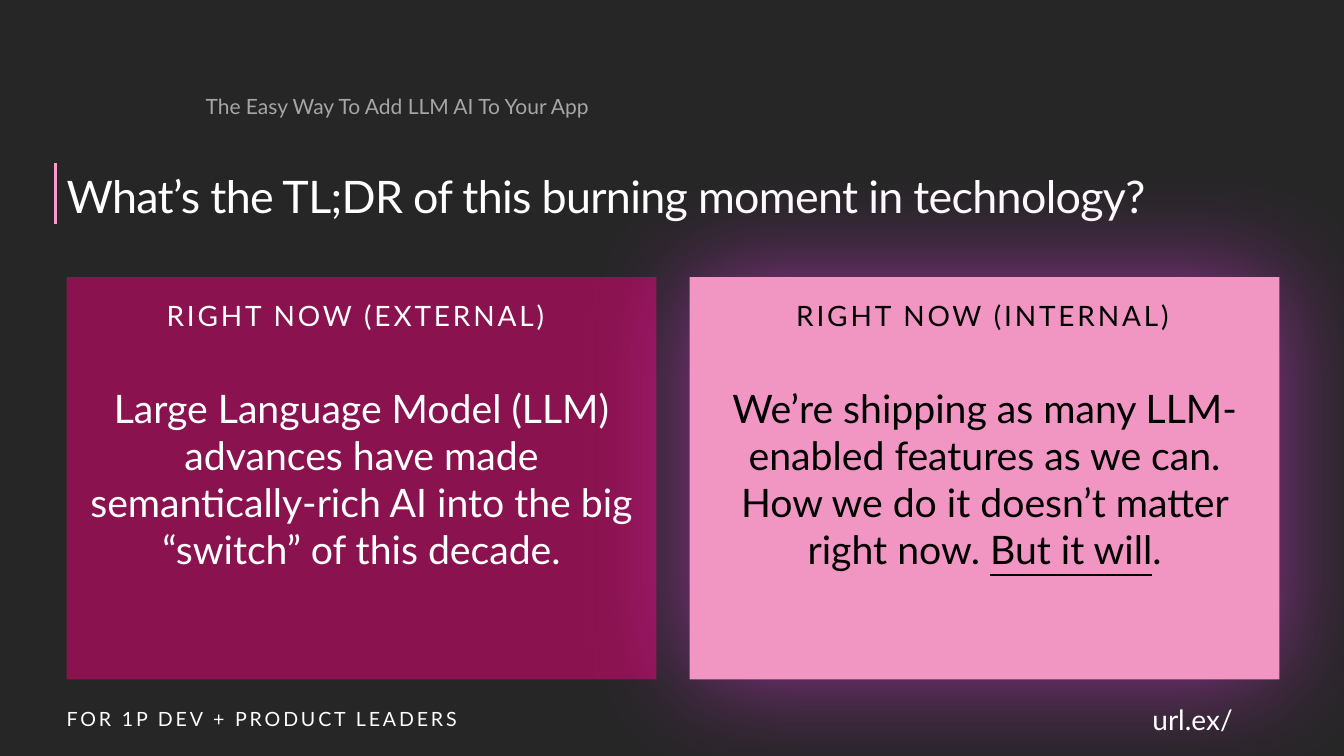
"""Build a slide with a title and two contrasting cards about the present moment."""
from lxml import etree
from pptx import Presentation, util as u
from pptx.dml.color import RGBColor
from pptx.enum import shapes, text
from pptx.oxml.ns import qn

COLORS = {
    "background": "262626", "white": "FFFFFF", "black": "000000", "gray": "A6A6A6",
    "accent": "FF99CC", "plum": "8A134F", "pink": "F195C3", "glow": "FF40FF",
}
MARGIN, CARD_TOP = 0.66, 2.75
CARD_WIDTH, CARD_HEIGHT, GUTTER = 5.85, 3.99, 0.33
LABEL_INSETS = (0, 0.05, 0.1, 0.05)


def color(name):
    return RGBColor.from_string(COLORS[name])


def write(box, spans, size, tint, insets=(0, 0, 0, 0), centered=False, spacing=0):
    frame = box.text_frame
    frame.word_wrap = True
    frame.auto_size = text.MSO_AUTO_SIZE.NONE
    frame.margin_left, frame.margin_top, frame.margin_right, frame.margin_bottom = map(u.Inches, insets)
    frame.vertical_anchor = text.MSO_ANCHOR.MIDDLE if centered else text.MSO_ANCHOR.TOP
    para = frame.paragraphs[0]
    para.alignment = text.PP_ALIGN.CENTER if centered else text.PP_ALIGN.LEFT
    if centered:
        para.space_after = u.Pt(8)
    para.font.name, para.font.size = "Lato", u.Pt(size)
    para.font.color.rgb = color(tint)
    for words, underlined in spans:
        span = para.add_run()
        span.text = words
        if underlined:
            span.font.underline = True
        if spacing:
            span.font._element.set("spc", str(int(spacing * 100)))


deck = Presentation()
deck.slide_width, deck.slide_height = u.Inches(13.33), u.Inches(7.5)
page = deck.slides.add_slide(deck.slide_layouts[5])
page.background.fill.solid()
page.background.fill.fore_color.rgb = color("background")

title = page.shapes.title
title.left, title.top, title.width, title.height = map(u.Inches, (MARGIN, 1.62, 12.05, 0.61))
write(title, [("What’s the TL;DR of this burning moment in technology?", False)],
      32, "white", LABEL_INSETS, spacing=-0.5)

rule = page.shapes.add_connector(
    shapes.MSO_CONNECTOR.STRAIGHT, *map(u.Inches, (0.55, 1.62, 0.55, 2.22)))
rule.line.color.rgb = color("accent")
rule.line.width = u.Pt(2.25)
etree.SubElement(rule._element.spPr, qn("a:effectLst"))

captions = [
    ((11.43, 6.97, 1.05, 0.34), "url.ex/", 20, "white", (0, 0, 0, 0), 0),
    ((2.04, 0.88, 7.1, 0.35), "The Easy Way To Add LLM AI To Your App", 15, "gray", LABEL_INSETS, 0),
    ((MARGIN, 7.01, CARD_WIDTH, 0.24), "FOR 1P DEV + PRODUCT LEADERS", 14, "white", (0, 0, 0, 0), 2),
]
cards = [
    ("RIGHT NOW (EXTERNAL)", 0.79, "plum", "white", False,
     [("Large Language Model (LLM) advances have made semantically-rich AI into the big "
       "“switch” of this decade.", False)]),
    ("RIGHT NOW (INTERNAL)", 7.01, "pink", "black", True,
     [("We’re shipping as many LLM-enabled features as we can. How we do it doesn’t matter "
       "right now. ", False), ("But it will", True), (".", False)]),
]

for column, (heading, heading_left, fill, ink, glowing, spans) in enumerate(cards):
    left = MARGIN + column * (CARD_WIDTH + GUTTER)
    card = page.shapes.add_shape(
        shapes.MSO_SHAPE.RECTANGLE, *map(u.Inches, (left, CARD_TOP, CARD_WIDTH, CARD_HEIGHT)))
    card.shadow.inherit = False
    card.fill.solid()
    card.fill.fore_color.rgb = color(fill)
    card.line.fill.background()
    write(card, spans, 28, ink, (0.2, 0.2, 0.2, 0.2), centered=True)
    if glowing:
        effects = card._element.spPr.find(qn("a:effectLst"))
        shadow = etree.SubElement(effects, qn("a:outerShdw"), blurRad=str(u.Pt(81)),
                                  dist="0", dir="0", algn="ctr", rotWithShape="0")
        tint = etree.SubElement(shadow, qn("a:srgbClr"), val=COLORS["glow"])
        etree.SubElement(tint, qn("a:alpha"), val="49900")
    label = page.shapes.add_textbox(*map(u.Inches, (heading_left, CARD_TOP + 0.2, 5.57, 0.35)))
    write(label, [(heading, False)], 20, ink, LABEL_INSETS, centered=True, spacing=2)

for place, words, size, ink, insets, spacing in captions:
    box = page.shapes.add_textbox(*map(u.Inches, place))
    write(box, [(words, False)], size, ink, insets, spacing=spacing)

deck.save("out.pptx")
